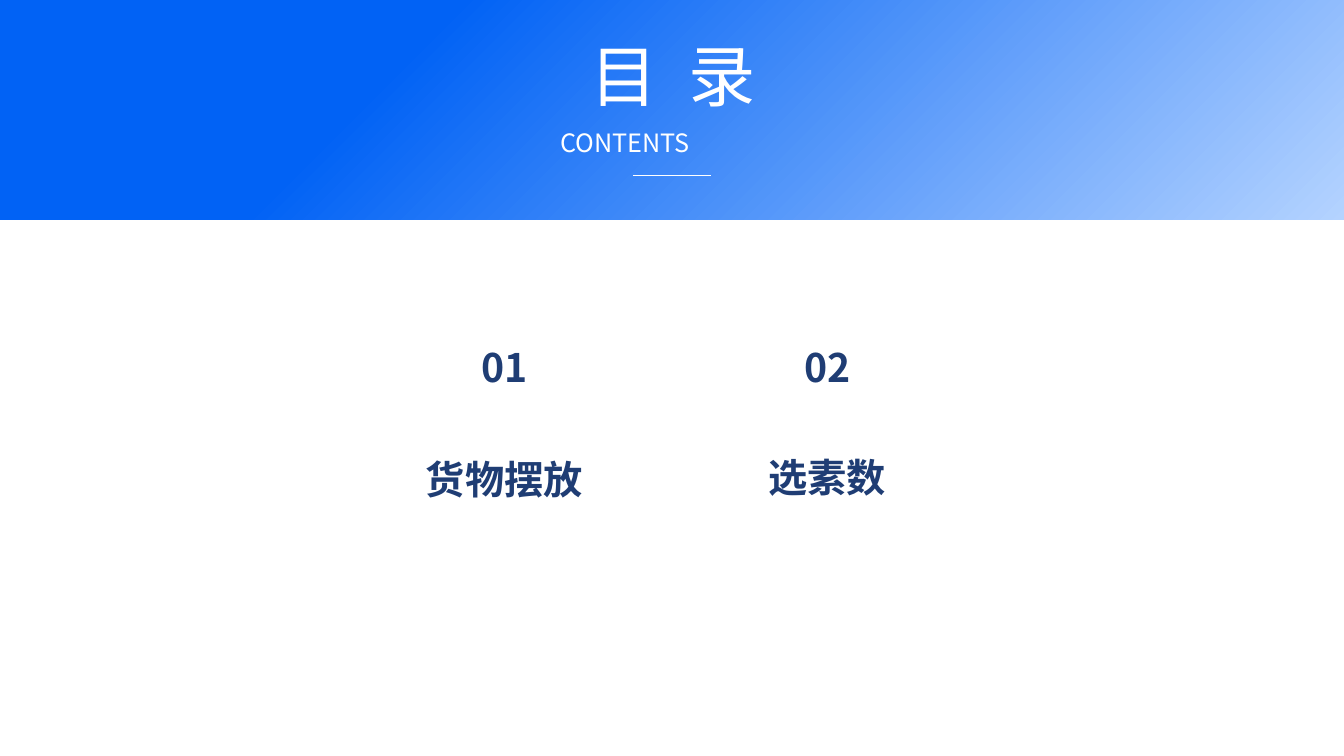
from lxml.etree import SubElement
from pptx import Presentation
from pptx.dml.color import RGBColor
from pptx.enum.shapes import MSO_CONNECTOR as Connector, MSO_SHAPE as Shape
from pptx.enum.text import MSO_ANCHOR as Anchor, PP_ALIGN as Align
from pptx.oxml.ns import qn
from pptx.util import Cm, Pt

COLORS = {
    "band_start": "0162F5",
    "band_end": "B4D3FF",
    "white": "FFFFFF",
    "navy": "1F3D74",
}
FONT = "Noto Sans CJK SC"
SLIDE_WIDTH, SLIDE_HEIGHT = 67.74, 38.1
NUMBER_WIDTH, LABEL_WIDTH, ENTRY_HEIGHT = 4.34, 11.79, 2.64
NUMBER_TOP = 17.17

# number, label, centre of the column, top of the label
ENTRIES = [
    ("01", "货物摆放", 25.42, 22.81),
    ("02", "选素数", 41.7, 22.73),
]


def color(name):
    return RGBColor.from_string(COLORS[name])


def add_band(slide):
    band = slide.shapes.add_shape(
        Shape.RECTANGLE, Cm(0), Cm(-0.58), Cm(SLIDE_WIDTH), Cm(11.66))
    band.shadow.inherit = False
    band.line.fill.background()
    band.fill.gradient()
    band.fill.gradient_angle = 315
    stops = zip(band.fill.gradient_stops, ("band_start", "band_end"), (0.3, 1))
    for stop, name, position in stops:
        stop.color.rgb = color(name)
        stop.position = position


def add_text(slide, parts, left, top, width, height, size, ink,
             bold=False, align=Align.CENTER):
    """Add one line of text made of the given parts and return its runs."""
    box = slide.shapes.add_textbox(Cm(left), Cm(top), Cm(width), Cm(height))
    frame = box.text_frame
    frame.word_wrap = True
    frame.vertical_anchor = Anchor.MIDDLE
    frame.margin_left = frame.margin_right = 0
    frame.margin_top = frame.margin_bottom = 0
    line = frame.paragraphs[0]
    line.alignment = align
    line.font.name = FONT
    line.font.size = Pt(size)
    line.font.bold = bold
    line.font.color.rgb = color(ink)
    defaults = line._p.pPr.find(qn("a:defRPr"))
    east_asian = SubElement(defaults, qn("a:ea"))
    east_asian.set("typeface", FONT)
    defaults.find(qn("a:latin")).addnext(east_asian)
    runs = []
    for part in parts:
        run = line.add_run()
        run.text = part
        runs.append(run)
    return runs


def add_heading(slide):
    spaced, _ = add_text(slide, ["目 ", "录"], 25.98, 1.6, 15.88, 4.37, 96, "white")
    spaced._r.get_or_add_rPr().set("spc", "1100")
    add_text(slide, ["CONTENTS"], 28.24, 6.3, 11.25, 1.8, 36, "white",
             align=Align.JUSTIFY)


def add_rule(slide):
    rule = slide.shapes.add_connector(
        Connector.STRAIGHT, Cm(31.9), Cm(8.86), Cm(35.84), Cm(8.86))
    rule.line.color.rgb = color("white")
    rule.line.width = Pt(1.75)
    SubElement(rule._element.spPr, qn("a:effectLst"))


def add_entry(slide, number, label, center, label_top):
    for text, width, top in ((number, NUMBER_WIDTH, NUMBER_TOP),
                             (label, LABEL_WIDTH, label_top)):
        add_text(slide, [text], center - width / 2, top, width, ENTRY_HEIGHT,
                 56, "navy", bold=True)


def main():
    deck = Presentation()
    deck.slide_width, deck.slide_height = Cm(SLIDE_WIDTH), Cm(SLIDE_HEIGHT)
    slide = deck.slides.add_slide(deck.slide_layouts[6])
    add_band(slide)
    add_heading(slide)
    add_rule(slide)
    for entry in ENTRIES:
        add_entry(slide, *entry)
    deck.save("out.pptx")


if __name__ == "__main__":
    main()
